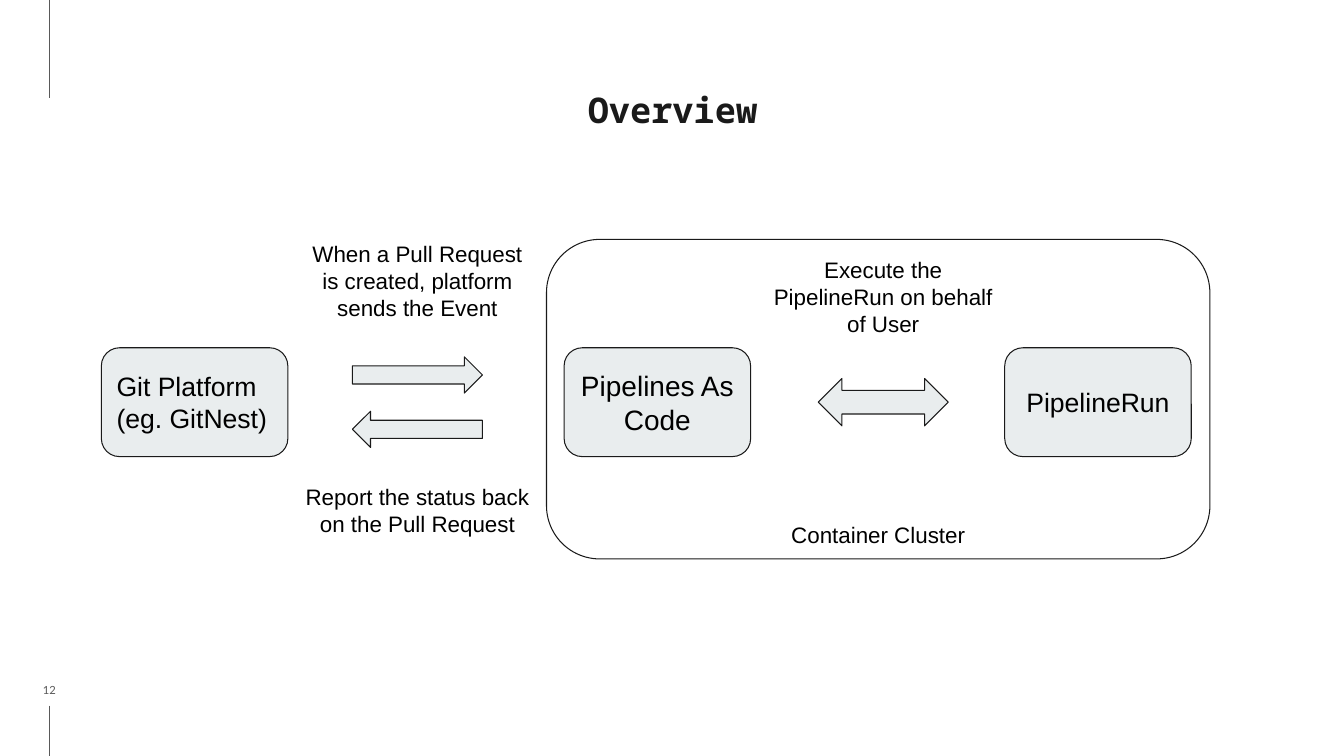
from dataclasses import dataclass

from lxml.etree import SubElement
from pptx import Presentation
from pptx.dml.color import RGBColor
from pptx.enum.shapes import MSO_CONNECTOR, MSO_SHAPE
from pptx.enum.text import MSO_ANCHOR, MSO_AUTO_SIZE, PP_ALIGN
from pptx.oxml.ns import qn
from pptx.util import Inches, Pt


@dataclass(frozen=True)
class Theme:
    ink: RGBColor = RGBColor(0x1A, 0x1A, 0x1A)
    text: RGBColor = RGBColor(0, 0, 0)
    muted: RGBColor = RGBColor(0x59, 0x59, 0x59)
    panel: RGBColor = RGBColor(0xE9, 0xED, 0xEE)
    title_font: str = "Noto Sans Mono"
    body_font: str = "Arial"
    number_font: str = "Lato"
    title_size: float = 25.2
    node_size: int = 19
    main_node_size: int = 20
    caption_size: int = 16
    number_size: int = 8
    outline: float = 0.75


THEME = Theme()
WIDTH, HEIGHT = 13.33, 7.5

TITLE = "Overview"
PAGE_NUMBER = "12"

COLUMNS = {"git": 1.93, "events": 4.14, "code": 6.52, "cluster": 8.71, "execution": 8.76, "run": 10.89}
FLOW_ROW = 3.99
ARROW_OFFSET = 0.27
NODE = (1.85, 1.08)
ARROW = (1.29, 0.36)
EXCHANGE = (1.29, 0.47)
CLUSTER = (6.58, 3.17)
CLUSTER_ROW = 3.96
CAPTION_WIDTH = 2.47

NODES = [
    ("git", ["Git Platform", "(eg. GitNest)"], THEME.node_size, PP_ALIGN.LEFT),
    ("code", ["Pipelines As Code"], THEME.main_node_size, PP_ALIGN.CENTER),
    ("run", ["PipelineRun"], THEME.node_size, PP_ALIGN.CENTER),
]
ARROWS = [
    ("events", -ARROW_OFFSET, ARROW, MSO_SHAPE.RIGHT_ARROW),
    ("events", ARROW_OFFSET, ARROW, MSO_SHAPE.LEFT_ARROW),
    ("execution", 0, EXCHANGE, MSO_SHAPE.LEFT_RIGHT_ARROW),
]
CAPTIONS = [
    ("events", 2.28, 1.01, "When a Pull Request is created, platform sends the Event"),
    ("execution", 2.44, 1.01, "Execute the PipelineRun on behalf of User"),
    ("events", 4.69, 0.74, "Report the status back on the Pull Request"),
    ("cluster", 5.07, 0.47, "Container Cluster"),
]
MARGIN_X = 0.49
MARGIN_RULES = [(0, 0.97), (7, HEIGHT)]


def write(frame, lines, font, size, color, align=PP_ALIGN.CENTER, inset=0.1,
          anchor=MSO_ANCHOR.TOP, bold=False, spacing=None):
    frame.word_wrap = True
    frame.vertical_anchor = anchor
    frame.margin_left = frame.margin_right = Inches(inset)
    frame.margin_top = frame.margin_bottom = Inches(inset)
    for index, line in enumerate(lines):
        paragraph = frame.add_paragraph() if index else frame.paragraphs[0]
        paragraph.alignment = align
        paragraph.line_spacing = spacing
        run = paragraph.add_run()
        run.text = line
        run.font.name = font
        run.font.size = Pt(size)
        run.font.bold = bold
        run.font.color.rgb = color


def add_centred(slide, kind, column, row, size, filled=True):
    width, height = size
    shape = slide.shapes.add_shape(
        kind, Inches(COLUMNS[column] - width / 2), Inches(row - height / 2),
        Inches(width), Inches(height))
    shape.shadow.inherit = False
    if filled:
        shape.fill.solid()
        shape.fill.fore_color.rgb = THEME.panel
    else:
        shape.fill.background()
    shape.line.color.rgb = THEME.ink
    shape.line.width = Pt(THEME.outline)
    return shape


def add_margin_rule(slide, top, bottom):
    rule = slide.shapes.add_connector(
        MSO_CONNECTOR.STRAIGHT, Inches(MARGIN_X), Inches(top), Inches(MARGIN_X), Inches(bottom))
    rule.line.color.rgb = THEME.muted
    rule.line.width = Pt(THEME.outline)
    SubElement(rule._element.spPr, qn("a:effectLst"))


def add_title(slide):
    title = slide.shapes.title
    title.left, title.top = Inches(0.97), Inches(0.62)
    title.width, title.height = Inches(11.4), Inches(0.6)
    title.text_frame.auto_size = MSO_AUTO_SIZE.NONE
    write(title.text_frame, [TITLE], THEME.title_font, THEME.title_size, THEME.ink,
          inset=0.13, bold=True, spacing=1.3)


def add_page_number(slide):
    number = slide.shapes.add_textbox(Inches(MARGIN_X - 0.4), Inches(6.75), Inches(0.8), Inches(0.16))
    write(number.text_frame, [PAGE_NUMBER], THEME.number_font, THEME.number_size, THEME.muted,
          inset=0, anchor=MSO_ANCHOR.BOTTOM)


def main():
    deck = Presentation()
    deck.slide_width, deck.slide_height = Inches(WIDTH), Inches(HEIGHT)
    slide = deck.slides.add_slide(deck.slide_layouts[5])

    for top, bottom in MARGIN_RULES:
        add_margin_rule(slide, top, bottom)
    add_title(slide)
    add_page_number(slide)
    add_centred(slide, MSO_SHAPE.ROUNDED_RECTANGLE, "cluster", CLUSTER_ROW, CLUSTER, filled=False)

    for column, lines, size, align in NODES:
        node = add_centred(slide, MSO_SHAPE.ROUNDED_RECTANGLE, column, FLOW_ROW, NODE)
        write(node.text_frame, lines, THEME.body_font, size, THEME.text, align,
              anchor=MSO_ANCHOR.MIDDLE)

    for column, offset, size, kind in ARROWS:
        add_centred(slide, kind, column, FLOW_ROW + offset, size)

    for column, top, height, caption in CAPTIONS:
        box = slide.shapes.add_textbox(
            Inches(COLUMNS[column] - CAPTION_WIDTH / 2), Inches(top),
            Inches(CAPTION_WIDTH), Inches(height))
        box.text_frame.auto_size = MSO_AUTO_SIZE.SHAPE_TO_FIT_TEXT
        write(box.text_frame, [caption], THEME.body_font, THEME.caption_size, THEME.text)

    deck.save("out.pptx")


if __name__ == "__main__":
    main()
